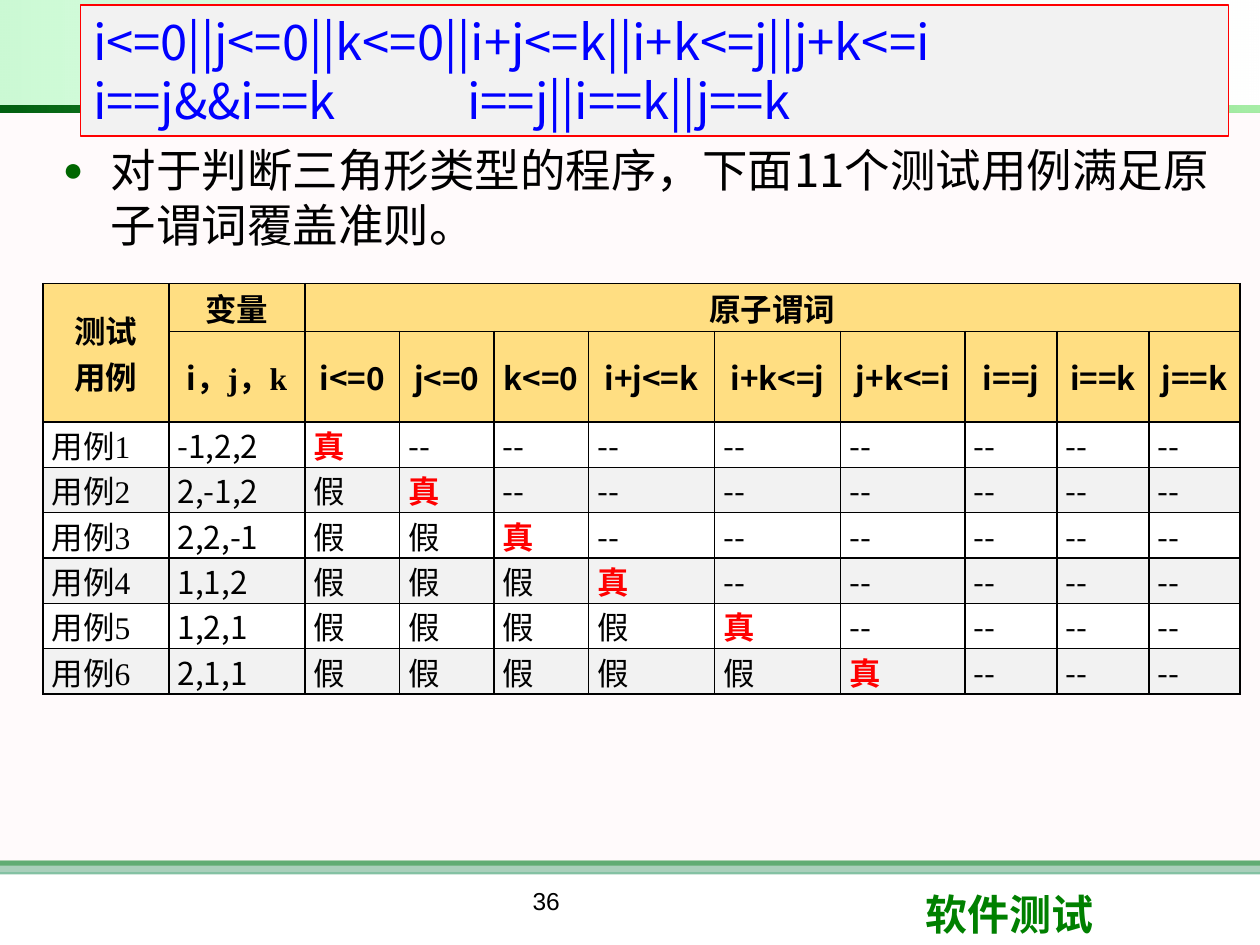
import pptx
import pptx.dml.color
import pptx.enum.shapes
import pptx.enum.text
import pptx.oxml.ns
import pptx.util
from lxml import etree
from pptx.util import Inches

NOTO, TIMES, ARIAL = "Noto Sans CJK SC", "Times New Roman", "Arial"
ALIGN = pptx.enum.text.PP_ALIGN
COLS = [1, 1.08, 0.75, 0.75, 0.75, 1, 1, 0.99, 0.73, 0.73, 0.72]
ROWS = [0.38, 0.72] + [0.36] * 6
ATOMS = ["i<=0", "j<=0", "k<=0", "i+j<=k", "i+k<=j", "j+k<=i",
         "i==j", "i==k", "j==k"]
CASES = ["-1,2,2", "2,-1,2", "2,2,-1", "1,1,2", "1,2,1", "2,1,1"]


def rgb(code):
    return pptx.dml.color.RGBColor.from_string(code)


def add(parent, tag, **attrs):
    node = etree.SubElement(parent, pptx.oxml.ns.qn(tag))
    for key, value in attrs.items():
        node.set(key, str(value))
    return node


def fade(fill, *shares):
    """Set the opacity, in percent, of each colour in a fill."""
    tag = pptx.oxml.ns.qn("a:srgbClr")
    for node, share in zip(fill.iter(tag), shares):
        add(node, "a:alpha", val=share * 1000)


def style(font, size, name, color="000000", bold=False):
    font.size = pptx.util.Pt(size)
    font.bold = bold
    font.color.rgb = rgb(color)
    font.name = name
    add(font._element, "a:ea", typeface=NOTO)


def rect(slide, box, turn=0):
    kind = pptx.enum.shapes.MSO_SHAPE.RECTANGLE
    shape = slide.shapes.add_shape(kind, *map(Inches, box))
    shape.shadow.inherit = False
    shape.line.fill.background()
    shape.rotation = turn
    return shape


def band(slide, box, color, share=100):
    shape = rect(slide, box)
    shape.fill.solid()
    shape.fill.fore_color.rgb = rgb(color)
    if share < 100:
        fade(shape._element.spPr, share)
    return shape


def blend(slide, box, colors, shares):
    shape = rect(slide, box, 180)
    shape.fill.gradient()
    shape.fill.gradient_angle = 0
    for stop, color, place in zip(shape.fill.gradient_stops, colors, (0, 1)):
        stop.color.rgb = rgb(color)
        stop.position = place
    fade(shape._element.spPr, *shares)


def label(slide, box, text, size, name, color="000000", bold=False,
          align=ALIGN.LEFT):
    frame = slide.shapes.add_textbox(*map(Inches, box)).text_frame
    frame.word_wrap = True
    para = frame.paragraphs[0]
    para.text = text
    para.alignment = align
    style(para.font, size, name, color, bold)


def bullet(slide, box, text):
    frame = slide.shapes.add_textbox(*map(Inches, box)).text_frame
    frame.word_wrap = True
    para = frame.paragraphs[0]
    para.text = text
    para.space_after = pptx.util.Pt(6)
    props = para._p.get_or_add_pPr()
    props.set("marL", str(Inches(0.39)))
    props.set("indent", str(Inches(-0.38)))
    add(add(props, "a:buClr"), "a:srgbClr", val="006600")
    add(props, "a:buSzPct", val=75000)
    add(props, "a:buFont", typeface=ARIAL)
    add(props, "a:buChar", char="●")
    style(para.font, 26, NOTO)


def formulas(slide):
    shape = band(slide, (0.64, 0.04, 9.11, 1.04), "F2F2F2")
    shape.line.color.rgb = rgb("FF0000")
    shape.line.width = pptx.util.Pt(0.75)
    frame = shape.text_frame
    frame.word_wrap = True
    frame.vertical_anchor = pptx.enum.text.MSO_ANCHOR.TOP
    frame.text = "||".join(ATOMS[:6]) + "\ni==j&&i==k\t" + "||".join(ATOMS[6:])
    for para in frame.paragraphs:
        para.alignment = ALIGN.LEFT
        tabs = add(para._p.get_or_add_pPr(), "a:tabLst")
        add(tabs, "a:tab", pos=Inches(2.97), algn="l")
        style(para.font, 28, NOTO, "0000FF")


def paint(cell, color, side=0.07, share=100):
    """Set a cell's margins, black borders and fill."""
    cell.margin_left = cell.margin_right = Inches(side)
    cell.margin_top = cell.margin_bottom = 0
    props = cell._tc.get_or_add_tcPr()
    for edge in "LRTB":
        line = add(props, f"a:ln{edge}", w=pptx.util.Pt(1))
        add(add(line, "a:solidFill"), "a:srgbClr", val="000000")
    cell.fill.solid()
    cell.fill.fore_color.rgb = rgb(color)
    if share < 100:
        fade(props.find(pptx.oxml.ns.qn("a:solidFill")), share)


def write(cell, text, name, align, color="000000", bold=False):
    cell.text = text
    for para in cell.text_frame.paragraphs:
        para.alignment = align
        style(para.font, 18, name, color, bold)


def heads(grid):
    for row in range(2):
        for col in range(len(COLS)):
            cell = grid.cell(row, col)
            paint(cell, "FFC000", 0 if row and col else 0.07, 48)
            cell.vertical_anchor = pptx.enum.text.MSO_ANCHOR.MIDDLE
    grid.cell(0, 0).merge(grid.cell(1, 0))
    grid.cell(0, 2).merge(grid.cell(0, len(COLS) - 1))
    for col, text in enumerate(["测试\n用例", "变量", "原子谓词"]):
        write(grid.cell(0, col), text, TIMES, ALIGN.CENTER, bold=True)
    for col, text in enumerate(ATOMS, 2):
        write(grid.cell(1, col), text, NOTO, ALIGN.CENTER, bold=True)
    para = grid.cell(1, 1).text_frame.paragraphs[0]
    para.alignment = ALIGN.CENTER
    for text, name in (("i", NOTO), ("，j，k", TIMES)):
        run = para.add_run()
        run.text = text
        style(run.font, 18, name, bold=True)


def cases(grid):
    """Each case makes one predicate true; those after it are not reached."""
    for num, values in enumerate(CASES):
        marks = ["假"] * num + ["真"] + ["--"] * (len(ATOMS) - num - 1)
        for col, text in enumerate([f"用例{num + 1}", values] + marks):
            cell = grid.cell(num + 2, col)
            paint(cell, "F2F2F2" if num % 2 else "FFFFFF")
            hit = text == "真"
            name = NOTO if text in (values, "--") else TIMES
            write(cell, text, name, ALIGN.JUSTIFY,
                  "FF0000" if hit else "000000", hit)


def table(slide):
    box = map(Inches, (0.34, 2.25, sum(COLS), sum(ROWS)))
    grid = slide.shapes.add_table(len(ROWS), len(COLS), *box).table
    for col, width in zip(grid.columns, COLS):
        col.width = Inches(width)
    for row, height in zip(grid.rows, ROWS):
        row.height = Inches(height)
    heads(grid)
    cases(grid)


def main():
    deck = pptx.Presentation()
    deck.slide_width, deck.slide_height = Inches(10), Inches(7.5)
    slide = deck.slides.add_slide(deck.slide_layouts[6])
    band(slide, (0, 6.83, 10, 0.04), "008000")
    band(slide, (0, 6.83, 10, 0.11), "339966", 60)
    band(slide, (0, 0.89, 10, 6.03), "FFF0F5", 30)
    label(slide, (7.25, 7, 2.37, 0.5), "软件测试", 24, ARIAL, "008000", True)
    blend(slide, (0, 0, 9.99, 0.83), ("FFFFFF", "09E733"), (10, 21))
    blend(slide, (0, 0.84, 10, 0.05), ("00CC00", "006010"), (35, 100))
    bullet(slide, (0.39, 1.08, 9.36, 5.58),
           "对于判断三角形类型的程序，下面11个测试用例满足原子谓词覆盖准则。")
    label(slide, (2.75, 6.98, 3.17, 0.52), "36", 14, ARIAL, align=ALIGN.CENTER)
    table(slide)
    formulas(slide)
    deck.save("out.pptx")


if __name__ == "__main__":
    main()
